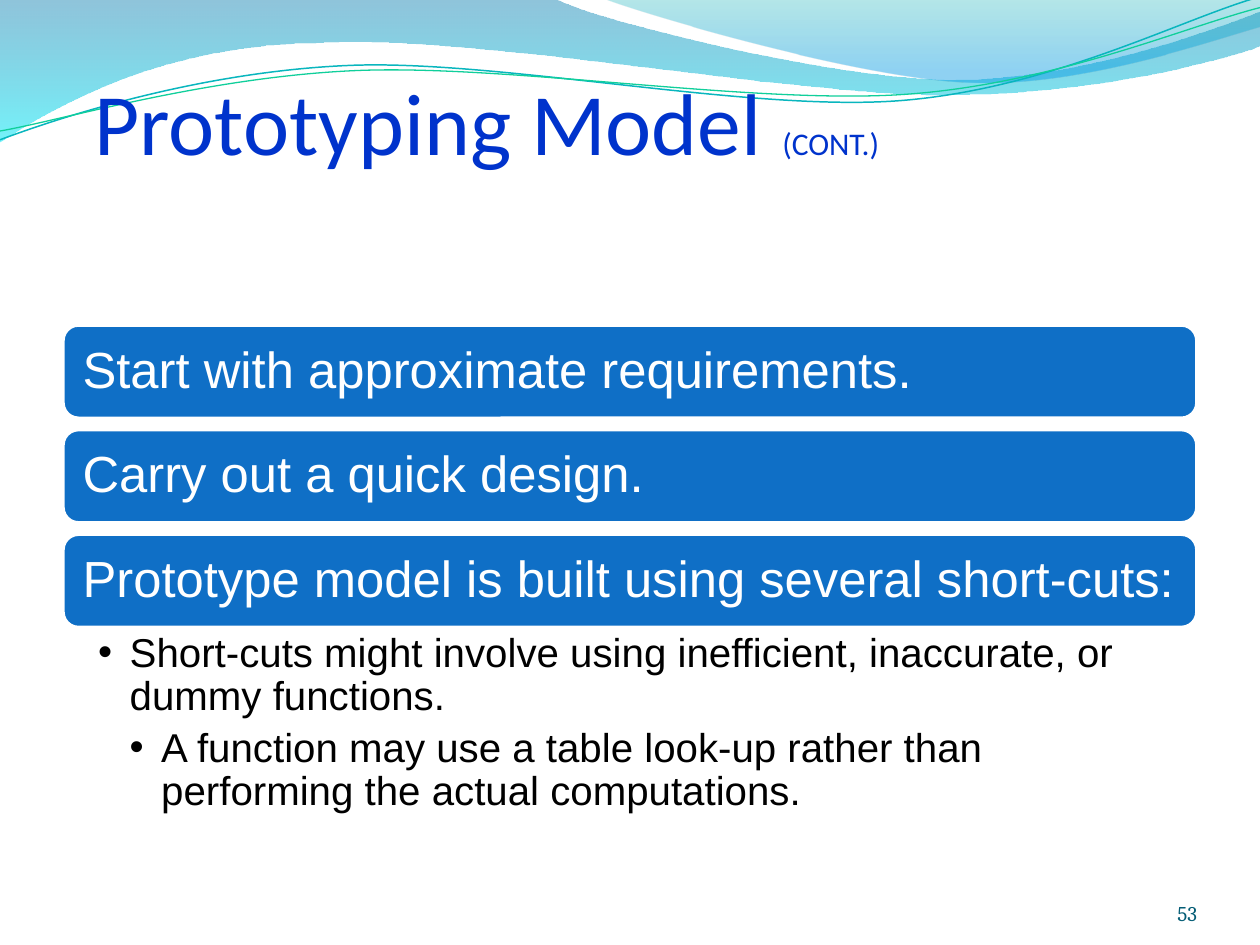
from math import cos, radians, sin

from lxml import etree
from pptx import Presentation
from pptx.dml.color import RGBColor
from pptx.enum.shapes import MSO_SHAPE
from pptx.enum.text import MSO_ANCHOR, PP_ALIGN
from pptx.oxml.ns import qn
from pptx.util import Inches, Pt

ROUNDED = MSO_SHAPE.ROUNDED_RECTANGLE
TOP, MIDDLE, BOTTOM = MSO_ANCHOR.TOP, MSO_ANCHOR.MIDDLE, MSO_ANCHOR.BOTTOM
LEFT, RIGHT = PP_ALIGN.LEFT, PP_ALIGN.RIGHT

COLORS = {
    "title": "0033CC", "number": "035C75", "bar": "0F6FC6",
    "white": "FFFFFF", "black": "000000",
    "deep": "0079AD", "cyan": "00E9F7", "aqua": "00ABB4", "sky": "0099E4",
    "teal": "09B6BE", "green": "10CF9B",
}
TITLE = [("Prototyping Model ", 50), ("(CONT.)", 18)]
STEPS = [
    "Start with approximate requirements.",
    "Carry out a quick design.",
    "Prototype model is built using several short-cuts:",
]
DETAILS = [
    (1, "Short-cuts might involve using inefficient, inaccurate, or dummy functions."),
    (2, "A function may use a table look-up rather than performing the actual computations."),
]
PAGE_NUMBER = "53"

# Each outline is a start point, then segments: 2 numbers = line, 6 = cubic curve.
BANDS = [
    ((-0.01, -0.01, 10.02, 1.14),
     [(0, -0.01), (4.4, -0.01),
      (4.76, 0.17, 6.64, 0.63, 7.58, 0.63), (8.53, 0.63, 9.58, 0.26, 10, 0.09),
      (10.01, 0.36),
      (9.83, 0.44, 8.7, 0.76, 7.46, 0.75), (6.22, 0.75, 3.82, 0.28, 2.57, 0.34),
      (1.29, 0.35, 0.46, 0.83, -0.01, 1.13), (0, -0.01)],
     [(0, "deep", 44), (100, "cyan", 55)]),
    ((4.79, -0.01, 5.21, 0.7),
     [(4.79, -0.01),
      (5.09, 0.11, 6.82, 0.62, 7.69, 0.65), (8.56, 0.69, 9.61, 0.32, 10, 0.21),
      (10, 0), (4.79, -0.01)],
     [(0, "aqua", 29), (80, "sky", 44), (100, "sky", 44)]),
]
STRANDS = [
    ((-0.02, 0.22, 10.02, 0.71),
     [(0, 1.11), (0.48, 0.93, 1.58, 0.57, 2.77, 0.52),
      (3.95, 0.47, 5.93, 0.89, 7.13, 0.8), (8.33, 0.71, 9.38, 0.15, 9.98, -0.02)],
     "teal", 0.85),
    ((-0.02, 0.3, 10.03, 0.58),
     [(0, 1.04), (0.47, 0.96, 1.64, 0.61, 2.83, 0.56),
      (4.03, 0.51, 5.97, 0.83, 7.17, 0.75), (8.36, 0.67, 9.41, 0.21, 10, 0.06)],
     "green", 0.75),
]
STRAND_TILT = -2.7

WIDTH, HEIGHT = 10, 7.5
MARGIN = WIDTH * 0.05
BODY_WIDTH = WIDTH - 2 * MARGIN
STEPS_TOP, STEP_HEIGHT, STEP_PITCH = 2.58, 0.74, 0.83
DETAILS_TOP = STEPS_TOP + (len(STEPS) - 1) * STEP_PITCH + STEP_HEIGHT
INDENT = 0.25


def rgb(name):
    return RGBColor.from_string(COLORS[name])


def add_outline(slide, box, outline, close, tilt=0):
    left, top, width, height = box
    angle = radians(-tilt)

    def local(x, y):
        dx, dy = x - left - width / 2, y - top - height / 2
        return (Inches(width / 2 + dx * cos(angle) - dy * sin(angle)),
                Inches(height / 2 + dx * sin(angle) + dy * cos(angle)))

    builder = slide.shapes.build_freeform(0, 0)
    builder.add_line_segments([(Inches(width), Inches(height))], close=close)
    wave = builder.convert_to_shape()
    wave.left, wave.top, wave.width, wave.height = map(Inches, box)
    wave.rotation = tilt
    wave.shadow.inherit = False

    route = next(wave.element.iter(qn("a:path")))
    for command in list(route):
        route.remove(command)
    route.set("w", str(Inches(width)))
    route.set("h", str(Inches(height)))
    for i, segment in enumerate(outline):
        tag = "a:cubicBezTo" if len(segment) == 6 else "a:lnTo" if i else "a:moveTo"
        command = etree.SubElement(route, qn(tag))
        for x, y in zip(segment[::2], segment[1::2]):
            px, py = local(x, y)
            etree.SubElement(command, qn("a:pt"), x=str(px), y=str(py))
    if close:
        etree.SubElement(route, qn("a:close"))
    return wave


def add_band(slide, box, outline, stops):
    band = add_outline(slide, box, outline, True)
    band.line.fill.background()
    gradient = etree.Element(qn("a:gradFill"), rotWithShape="1")
    stop_list = etree.SubElement(gradient, qn("a:gsLst"))
    for position, color, opacity in stops:
        stop = etree.SubElement(stop_list, qn("a:gs"), pos=str(position * 1000))
        tint = etree.SubElement(stop, qn("a:srgbClr"), val=COLORS[color])
        etree.SubElement(tint, qn("a:alpha"), val=str(opacity * 1000))
    etree.SubElement(gradient, qn("a:lin"), ang="5400000", scaled="0")
    band.element.spPr.find(qn("a:custGeom")).addnext(gradient)


def add_strand(slide, box, outline, color, weight):
    strand = add_outline(slide, box, outline, False, STRAND_TILT)
    strand.fill.background()
    strand.line.color.rgb = rgb(color)
    strand.line.width = Pt(weight)


def add_frame(slide, box, insets, anchor):
    frame = slide.shapes.add_textbox(*map(Inches, box)).text_frame
    set_frame(frame, insets, anchor)
    return frame


def set_frame(frame, insets, anchor):
    frame.word_wrap = True
    frame.vertical_anchor = anchor
    (frame.margin_left, frame.margin_top,
     frame.margin_right, frame.margin_bottom) = map(Inches, insets)


def write(paragraph, runs, font, color, align=LEFT):
    paragraph.alignment = align
    for text, size in runs:
        run = paragraph.add_run()
        run.text = text
        run.font.name = font
        run.font.size = Pt(size)
        run.font.color.rgb = rgb(color)


def add_bullet(paragraph, level):
    paragraph.line_spacing = 0.9
    paragraph.space_after = Pt(4.6)
    properties = paragraph._p.get_or_add_pPr()
    properties.set("marL", str(Inches(INDENT * level)))
    properties.set("indent", str(-Inches(INDENT)))
    tint = etree.SubElement(properties, qn("a:buClr"))
    etree.SubElement(tint, qn("a:srgbClr"), val=COLORS["black"])
    etree.SubElement(properties, qn("a:buFont"), typeface="Arial")
    etree.SubElement(properties, qn("a:buChar"), char="•")


def add_step(slide, row, text):
    top = STEPS_TOP + row * STEP_PITCH
    bar = slide.shapes.add_shape(
        ROUNDED, *map(Inches, (MARGIN, top, BODY_WIDTH, STEP_HEIGHT)))
    bar.shadow.inherit = False
    bar.fill.solid()
    bar.fill.fore_color.rgb = rgb("bar")
    bar.line.color.rgb = rgb("white")
    bar.line.width = Pt(2)
    set_frame(bar.text_frame, (0.12, 0.12, 0.12, 0.12), MIDDLE)
    paragraph = bar.text_frame.paragraphs[0]
    paragraph.line_spacing = 0.9
    write(paragraph, [(text, 29)], "Arial", "white")


def main():
    deck = Presentation()
    deck.slide_width, deck.slide_height = Inches(WIDTH), Inches(HEIGHT)
    slide = deck.slides.add_slide(deck.slide_layouts[6])

    for band in BANDS:
        add_band(slide, *band)
    for strand in STRANDS:
        add_strand(slide, *strand)

    title = add_frame(slide, (0.73, 0.18, 8.53, 1.24), (0.02, 0.05, 0.02, 0.05), BOTTOM)
    write(title.paragraphs[0], TITLE, "Calibri", "title")

    number = add_frame(slide, (8.67, 6.95, 0.83, 0.4), (0, 0, 0, 0), BOTTOM)
    write(number.paragraphs[0], [(PAGE_NUMBER, 12)], "Cambria", "number", RIGHT)

    for row, text in enumerate(STEPS):
        add_step(slide, row, text)

    details = add_frame(slide, (MARGIN, DETAILS_TOP, BODY_WIDTH, 1.48),
                        (0.28, 0.04, 0.23, 0.04), TOP)
    for i, (level, text) in enumerate(DETAILS):
        paragraph = details.add_paragraph() if i else details.paragraphs[0]
        add_bullet(paragraph, level)
        write(paragraph, [(text, 23)], "Arial", "black")

    deck.save("out.pptx")


if __name__ == "__main__":
    main()
